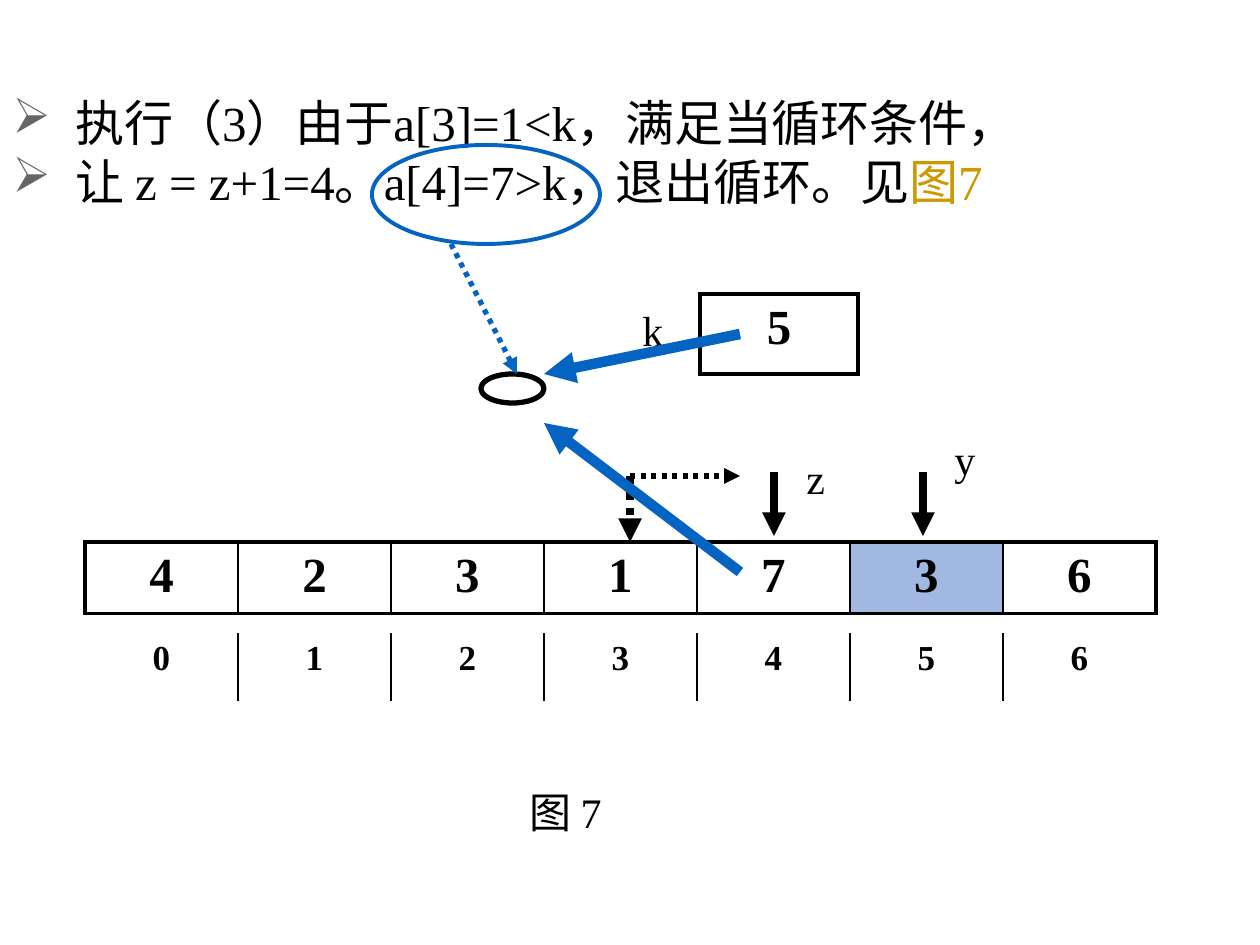
"""Build a slide showing one step of a partition loop on an array."""
import dataclasses
import typing

import lxml.etree
import pptx
import pptx.dml.color
import pptx.enum.dml
import pptx.enum.shapes
import pptx.enum.text
import pptx.oxml.ns
import pptx.util

COLORS = {"ink": "000000", "gold": "CC9900", "bullet": "696464", "blue": "0563C1", "pivot": "4472C4"}
FONT = "Times New Roman"
PX = 914400 / 126


@dataclasses.dataclass
class Label:
    text: str
    left: int
    top: int
    width: int


@dataclasses.dataclass
class Arrow:
    start: tuple[int, int]
    end: tuple[int, int]
    weight: float
    color: str = "ink"
    dotted: bool = False


@dataclasses.dataclass
class Oval:
    left: int
    top: int
    width: int
    height: int
    weight: float
    color: str


@dataclasses.dataclass
class Row:
    values: str
    left: int
    top: int
    cell_width: int
    height: int
    size: int
    outline: float
    shaded: typing.Optional[int] = None


def px(length: float) -> int:
    return round(length * PX)


def rgb(color: str) -> pptx.dml.color.RGBColor:
    return pptx.dml.color.RGBColor.from_string(COLORS[color])


def add_node(parent, tag: str, **attributes: str):
    return lxml.etree.SubElement(parent, pptx.oxml.ns.qn(tag), attributes)


def add_span(para, text: str, *, size: int, color: str = "ink", bold: bool = False) -> None:
    span = para.add_run()
    span.text = text
    span.font.name = FONT
    span.font.size = pptx.util.Pt(size)
    span.font.bold = bold
    span.font.color.rgb = rgb(color)


def add_box(page, left: int, top: int, width: int, height: int):
    box = page.shapes.add_textbox(px(left), px(top), px(width), px(height))
    box.text_frame.word_wrap = True
    return box.text_frame


def add_explanation(page, lines: list[list[tuple[str, str]]]) -> None:
    frame = add_box(page, 0, 86, 1260, 130)
    for number, spans in enumerate(lines):
        para = frame.add_paragraph() if number else frame.paragraphs[0]
        properties = para._p.get_or_add_pPr()
        properties.set("marL", str(px(63)))
        properties.set("indent", str(-px(63)))
        add_node(add_node(properties, "a:buClr"), "a:srgbClr", val=COLORS["bullet"])
        add_node(properties, "a:buChar", char="➢")
        for text, color in spans:
            add_span(para, text, size=28, color=color)


def add_label(page, label: Label) -> None:
    frame = add_box(page, label.left, label.top, label.width, 63)
    frame.margin_top = px(11)
    add_span(frame.paragraphs[0], label.text, size=24)


def add_border(cell, side: str, weight: float) -> None:
    line = add_node(cell._tc.get_or_add_tcPr(), f"a:ln{side}", w=str(pptx.util.Pt(weight)))
    if weight:
        add_node(add_node(line, "a:solidFill"), "a:srgbClr", val=COLORS["ink"])
    else:
        add_node(line, "a:noFill")


def add_row(page, row: Row) -> None:
    count = len(row.values)
    frame = page.shapes.add_table(
        1, count, px(row.left), px(row.top), px(row.cell_width * count), px(row.height)
    )
    table = frame.table
    table.first_row = table.horz_banding = False
    table.rows[0].height = px(row.height)
    for index, value in enumerate(row.values):
        table.columns[index].width = px(row.cell_width)
        cell = table.cell(0, index)
        add_border(cell, "L", 1 if index else row.outline)
        add_border(cell, "R", 1 if index < count - 1 else row.outline)
        add_border(cell, "T", row.outline)
        add_border(cell, "B", row.outline)
        if index == row.shaded:
            cell.fill.solid()
            cell.fill.fore_color.rgb = rgb("pivot")
            shade = cell._tc.tcPr.find(".//a:solidFill[last()]/a:srgbClr[@val='%s']" % COLORS["pivot"],
                                      {"a": pptx.oxml.ns.nsuri("a")} if hasattr(pptx.oxml.ns, "nsuri")
                                      else pptx.oxml.ns.namespaces("a"))
            add_node(shade, "a:alpha", val="50000")
        else:
            cell.fill.background()
        para = cell.text_frame.paragraphs[0]
        para.alignment = pptx.enum.text.PP_ALIGN.CENTER
        add_span(para, value, size=row.size, bold=True)


def add_arrow(page, arrow: Arrow) -> None:
    connector = page.shapes.add_connector(
        pptx.enum.shapes.MSO_CONNECTOR.STRAIGHT, *map(px, arrow.start + arrow.end)
    )
    connector.line.color.rgb = rgb(arrow.color)
    connector.line.width = pptx.util.Pt(arrow.weight)
    if arrow.dotted:
        connector.line.dash_style = pptx.enum.dml.MSO_LINE.ROUND_DOT
    add_node(connector.line._get_or_add_ln(), "a:tailEnd", type="triangle")
    add_node(connector._element.spPr, "a:effectLst")


def add_oval(page, oval: Oval) -> None:
    shape = page.shapes.add_shape(
        pptx.enum.shapes.MSO_SHAPE.OVAL, px(oval.left), px(oval.top), px(oval.width), px(oval.height)
    )
    shape.shadow.inherit = False
    shape.fill.background()
    shape.line.color.rgb = rgb(oval.color)
    shape.line.width = pptx.util.Pt(oval.weight)


def main() -> None:
    deck = pptx.Presentation()
    deck.slide_width, deck.slide_height = px(1260), px(945)
    page = deck.slides.add_slide(deck.slide_layouts[6])
    add_explanation(page, [
        [("执行（3）由于a[3]=1<k，满足当循环条件，", "ink")],
        [("让 z = z+1=4。a[4]=7>k，退出循环。见", "ink"), ("图7", "gold")],
    ])
    for row in (
        Row("4231736", 85, 542, 153, 70, 28, 2.25, shaded=5),
        Row("0123456", 85, 633, 153, 68, 20, 0),
        Row("5", 700, 294, 158, 80, 28, 2.25),
    ):
        add_row(page, row)
    for label in (
        Label("z", 794, 442, 54),
        Label("y", 942, 423, 54),
        Label("图 7", 517, 776, 154),
        Label("k", 630, 294, 110),
    ):
        add_label(page, label)
    for oval in (Oval(481, 374, 63, 29, 3, "ink"), Oval(372, 145, 228, 99, 2.25, "blue")):
        add_oval(page, oval)
    for arrow in (
        Arrow((774, 472), (774, 536), 4.5),
        Arrow((923, 472), (923, 536), 4.5),
        Arrow((630, 476), (630, 542), 4.5, dotted=True),
        Arrow((630, 476), (740, 476), 3, dotted=True),
        Arrow((740, 572), (544, 423), 6, "blue"),
        Arrow((740, 334), (544, 374), 6, "blue"),
        Arrow((451, 244), (517, 374), 3, "blue", dotted=True),
    ):
        add_arrow(page, arrow)
    deck.save("out.pptx")


if __name__ == "__main__":
    main()
